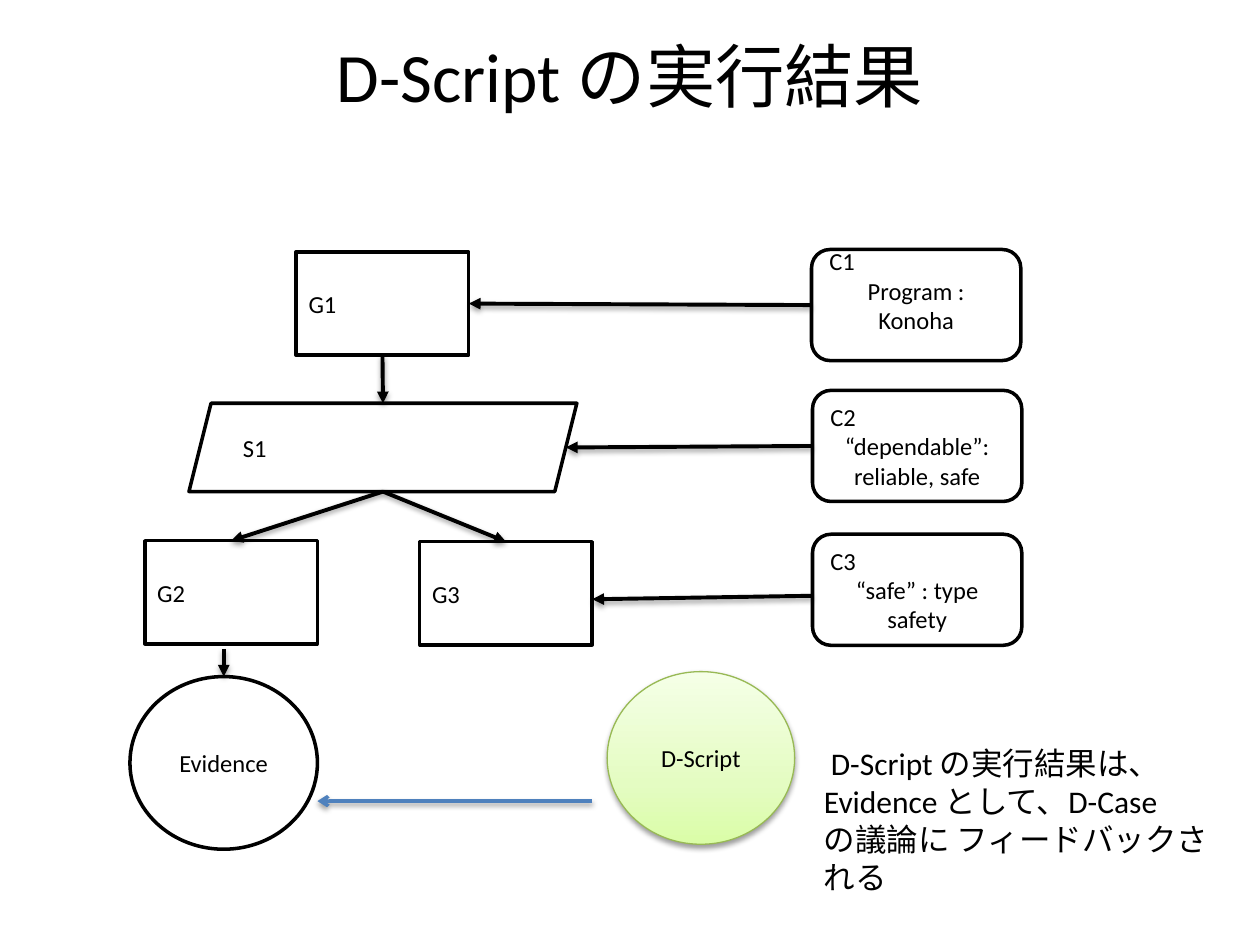
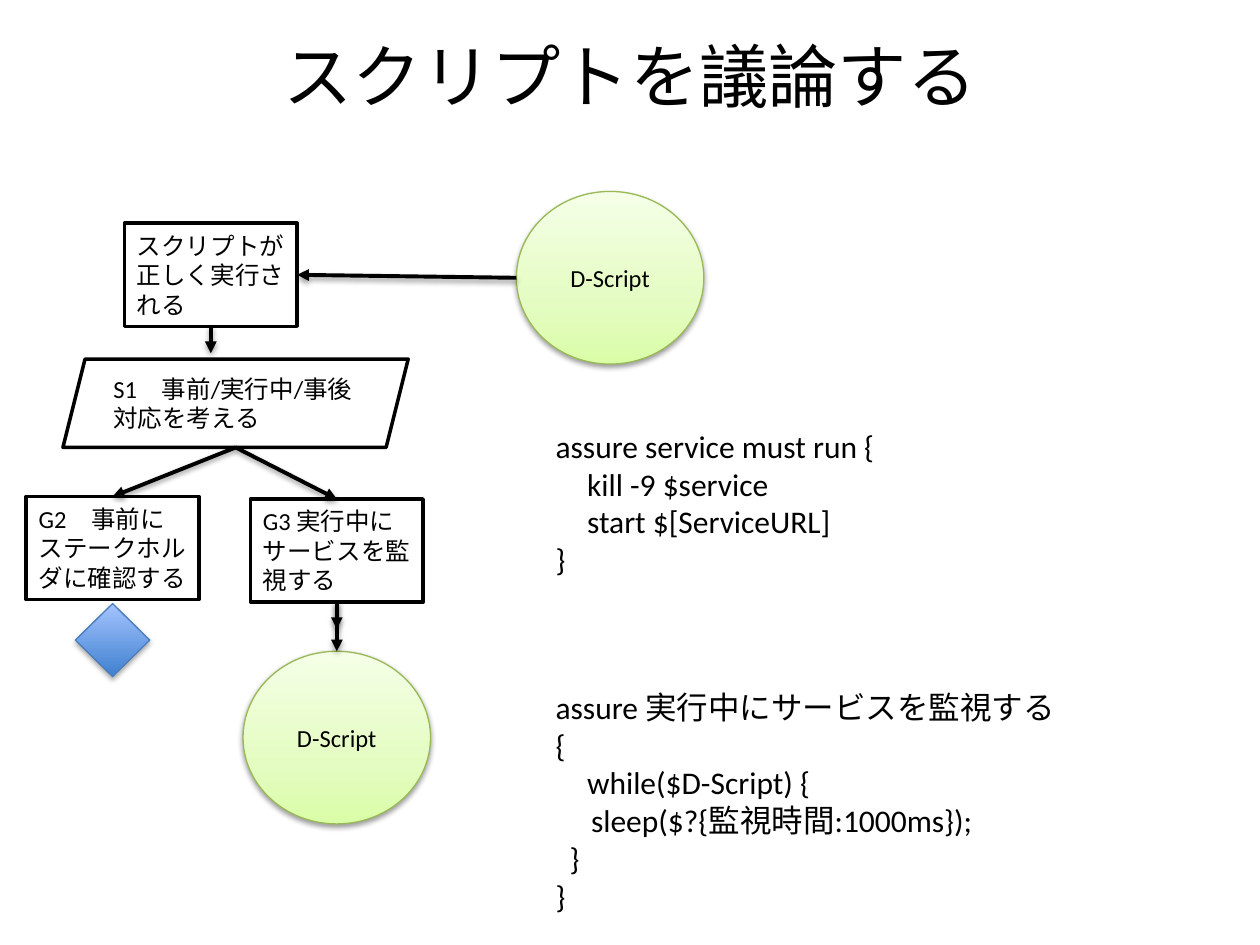
from dataclasses import dataclass

from pptx import Presentation
from pptx import util as u
from pptx.dml.color import RGBColor
from pptx.enum import shapes, text
from pptx.oxml import parse_xml
from pptx.oxml.ns import nsdecls

Cm = u.Cm
KIND = shapes.MSO_SHAPE
LEFT, MID = text.PP_ALIGN.LEFT, text.PP_ALIGN.CENTER


@dataclass(frozen=True)
class Theme:
    font: str = "Calibri"
    ink: str = "000000"
    paper: str = "FFFFFF"
    blue: str = "4F81BD"
    lime_edge: str = "98B955"
    sky_edge: str = "4B7EBC"
    lime: tuple = ((0, "DAFDA7"), (35, "E4FCC2"), (100, "F5FFE7"))
    sky: tuple = ((0, "3F80CE"), (100, "A4C4FF"))
    title: float = 39.6
    body: float = 18
    label: float = 14
    edge: float = 2
    thin: float = 0.75
    link: float = 2.25


THEME = Theme()
GOAL = (3.48, 2.08)
NOTE = (4.22, 2.24)
DISC = (3.78, 3.48)
PLAN = 1.78    # height of a strategy
SLANT = 0.25   # parallelogram slant, as a share of its height


def write(frame, lines, size=THEME.label, align=LEFT, lead=None, indent=0):
    """Fill a frame; lead aligns the first line, indent shifts it (cm)."""
    frame.word_wrap = True
    for i, line in enumerate(lines):
        para = frame.paragraphs[0] if i == 0 else frame.add_paragraph()
        para.alignment = lead if i == 0 and lead is not None else align
        if i == 0 and indent:
            para._p.get_or_add_pPr().set("indent", str(Cm(indent)))
        run = para.add_run()
        run.text = line
        font = run.font
        font.name, font.size = THEME.font, u.Pt(size)
        font.color.rgb = RGBColor.from_string(THEME.ink)


def shade(alpha=38, dist=1.6):
    """Soft shadow falling straight down."""
    return parse_xml(
        f'<a:effectLst {nsdecls("a")}><a:outerShdw blurRad="{u.Pt(3.1)}" '
        f'dist="{u.Pt(dist)}" dir="5400000" rotWithShape="0">'
        f'<a:srgbClr val="{THEME.ink}"><a:alpha val="{alpha * 1000}"/>'
        '</a:srgbClr></a:outerShdw></a:effectLst>')


def blend(stops):
    """Gradient that runs from bottom to top."""
    marks = "".join(f'<a:gs pos="{pos * 1000}"><a:srgbClr val="{tint}"/></a:gs>'
                    for pos, tint in stops)
    return parse_xml(
        f'<a:gradFill {nsdecls("a")} rotWithShape="1"><a:gsLst>{marks}</a:gsLst>'
        '<a:lin ang="16200000" scaled="0"/></a:gradFill>')


def spot(node, side, down=0):
    """Middle of a side of a node, moved down by some cm."""
    x, y = node.left + node.width // 2, node.top + node.height // 2
    if side == "left":
        x = node.left
    elif side == "right":
        x = node.left + node.width
        if node.auto_shape_type == KIND.PARALLELOGRAM:
            x -= int(node.height * SLANT / 2)
    elif side == "top":
        y = node.top
    elif side == "bottom":
        y = node.top + node.height
    return x, y + Cm(down)


class Deck:
    def __init__(self):
        self.show = Presentation()
        self.show.slide_width, self.show.slide_height = Cm(25.4), Cm(19.05)
        self.slide = None

    def page(self, name):
        self.slide = self.show.slides.add_slide(self.show.slide_layouts[5])
        head = self.slide.shapes.title
        head.left, head.top, head.width, head.height = map(Cm, (1.27, 0.76, 22.86, 1.5))
        frame = head.text_frame
        frame.auto_size = text.MSO_AUTO_SIZE.NONE
        frame.vertical_anchor = text.MSO_ANCHOR.MIDDLE
        write(frame, [name], size=THEME.title, align=MID)

    def node(self, kind, x, y, size, lines=(), edge=THEME.ink, width=THEME.edge,
             **style):
        node = self.slide.shapes.add_shape(kind, *map(Cm, (x, y, *size)))
        node.shadow.inherit = False
        node.fill.solid()
        node.fill.fore_color.rgb = RGBColor.from_string(THEME.paper)
        node.line.color.rgb = RGBColor.from_string(edge)
        node.line.width = u.Pt(width)
        node.text_frame.vertical_anchor = text.MSO_ANCHOR.MIDDLE
        write(node.text_frame, lines, **style)
        return node

    def goal(self, x, y, label):
        return self.node(KIND.RECTANGLE, x, y, GOAL, [label])

    def plan(self, x, y, width, label):
        return self.node(KIND.PARALLELOGRAM, x, y, (width, PLAN), [label])

    def note(self, x, y, *lines):
        return self.node(KIND.ROUNDED_RECTANGLE, x, y, NOTE, lines,
                         align=MID, lead=LEFT)

    def glow(self, kind, x, y, size, stops, edge, lines=(), **drop):
        """Node with a gradient and a shadow."""
        node = self.node(kind, x, y, size, lines, edge, THEME.thin, align=MID)
        props = node._element.spPr
        for tag, part in (("solidFill", blend(stops)), ("effectLst", shade(**drop))):
            old = props.find("a:" + tag, {"a": nsdecls("a").split('"')[1]})
            props.replace(old, part)
        return node

    def script(self, x, y):
        return self.glow(KIND.OVAL, x, y, DISC, THEME.lime, THEME.lime_edge,
                         ["D-Script"])

    def arrow(self, start, end, tint=THEME.ink, width=THEME.link, tip="triangle",
              kind=shapes.MSO_CONNECTOR.STRAIGHT):
        link = self.slide.shapes.add_connector(kind, *start, *end)
        link.line.color.rgb = RGBColor.from_string(tint)
        link.line.width = u.Pt(width)
        link.line._get_or_add_ln().append(
            parse_xml(f'<a:tailEnd {nsdecls("a")} type="{tip}"/>'))
        link._element.spPr.append(shade())

    def fork(self, node, *ends):
        """Arrows from the foot of a node to the heads of others."""
        for end in ends:
            self.arrow(spot(node, "bottom"), spot(end, "top"))

    def join(self, node, end, down=0):
        """Arrow leftwards from one node to another."""
        self.arrow(spot(node, "left", down), spot(end, "right", down))

    def words(self, x, y, width, height, lines, **style):
        box = self.slide.shapes.add_textbox(*map(Cm, (x, y, width, height)))
        write(box.text_frame, lines, size=THEME.body, **style)


def result(deck):
    deck.page("D-Script の実行結果")
    top = deck.goal(5.97, 5.08, "G1")
    plan = deck.plan(3.81, 8.13, 7.82, "S1")
    left = deck.goal(2.92, 10.9, "G2")
    right = deck.goal(8.46, 10.92, "G3")
    lang = deck.note(16.36, 5.03, "C1", "Program : Konoha")
    lang.text_frame.margin_bottom = Cm(0.72)
    trust = deck.note(16.38, 7.87, "C2", "“dependable”: reliable, safe")
    safe = deck.note(16.38, 10.77, "C3", "“safe” : type safety")
    proof = deck.node(KIND.OVAL, 2.62, 13.64, DISC, ["Evidence"], align=MID)

    deck.fork(top, plan)
    deck.fork(plan, left, right)
    deck.join(lang, top)
    deck.join(trust, plan)
    deck.join(safe, right, down=0.12)
    deck.arrow(spot(proof, "top", -0.56), spot(proof, "top"))
    deck.arrow((Cm(11.94), Cm(16.15)), (Cm(6.4), Cm(16.15)), THEME.blue, THEME.edge,
               "arrow", shapes.MSO_CONNECTOR.ELBOW)
    deck.words(16.36, 14.88, 8.56, 2.57,
               ["D-Script の実行結果は、", "Evidence として、D-Case",
                "の議論に フィードバックされる"], indent=0.14)
    deck.script(12.24, 13.54)


def debate(deck):
    deck.page("スクリプトを議論する")
    top = deck.goal(2.51, 4.5, "スクリプトが正しく実行される")
    plan = deck.plan(1.27, 7.24, 6.96, "S1　事前/実行中/事後対応を考える")
    left = deck.goal(0.53, 10.01, "G2　事前にステークホルダに確認する")
    right = deck.goal(5.05, 10.06, "G3 実行中にサービスを監視する")
    watch = deck.script(4.9, 13.13)
    run = deck.script(10.41, 3.86)
    deck.glow(KIND.DIAMOND, 1.52, 12.17, (1.5, 1.47), THEME.sky, THEME.sky_edge,
              alpha=35, dist=1.8)

    deck.join(run, top)
    for node in (top, right):
        deck.arrow(spot(node, "bottom"), spot(node, "bottom", 0.54))
    deck.fork(plan, left, right)
    deck.fork(right, watch)
    deck.words(10.95, 8.48, 7.01, 3.33,
               ["assure service must run {", "　kill -9 $service",
                "　start $[ServiceURL]", "}"])
    deck.words(10.95, 13.74, 10.67, 4.11,
               ["assure 実行中にサービスを監視する {", "　while($D-Script) {",
                "     sleep($?{監視時間:1000ms});", "  }", "}"])


def main():
    deck = Deck()
    result(deck)
    debate(deck)
    deck.show.save("out.pptx")


if __name__ == "__main__":
    main()
